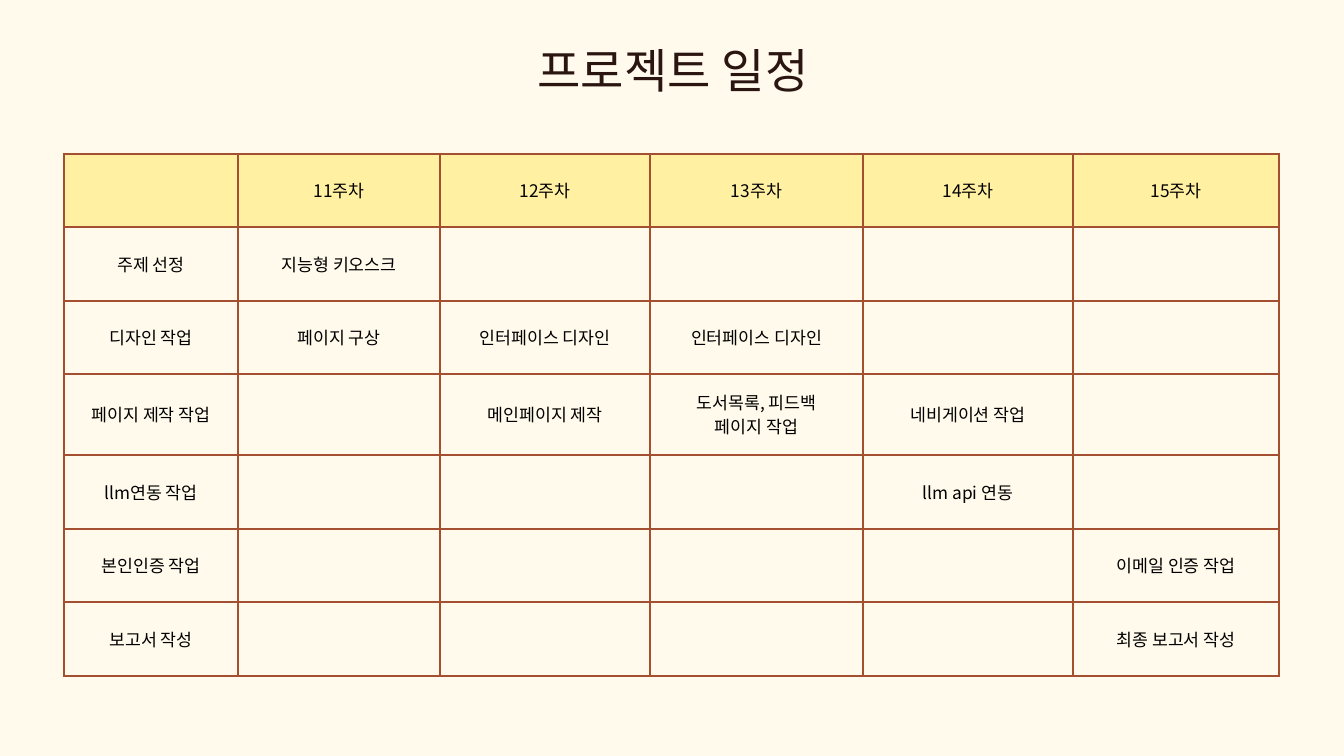
"""Build the project schedule slide with its weekly task table."""
import dataclasses

import lxml.etree
import pptx
import pptx.dml.color
import pptx.enum.text
import pptx.oxml.ns
import pptx.util

EMU_PER_PX = 914400 / 67.2
SLIDE_SIZE = (1344, 756)
TITLE_BOX = (510, 9, 326, 112)
TABLE_ORIGIN = (64, 154)
COLUMN_WIDTHS = (174, 202, 210, 213, 210, 206)
ROW_HEIGHTS = (73, 74, 73, 81, 74, 73, 74)
TITLE_INSET = 4
CELL_INSET = 14

FIRST_WEEK = 11
TASKS = (
    ("주제 선정", {11: "지능형 키오스크"}),
    ("디자인 작업", {11: "페이지 구상", 12: "인터페이스 디자인", 13: "인터페이스 디자인"}),
    ("페이지 제작 작업", {12: "메인페이지 제작", 13: "도서목록, 피드백\n페이지 작업", 14: "네비게이션 작업"}),
    ("llm연동 작업", {14: "llm api 연동"}),
    ("본인인증 작업", {15: "이메일 인증 작업"}),
    ("보고서 작성", {15: "최종 보고서 작성"}),
)
ACCENT_TEXTS = {"메인페이지 제작", "도서목록, 피드백", "llm연동 작업", "llm api 연동"}


@dataclasses.dataclass(frozen=True)
class Theme:
    """Colours, fonts and type sizes of the slide."""
    background: str = "FFFAEB"
    header: str = "FFF0A2"
    border: str = "A44F30"
    title: str = "2B1511"
    text: str = "000000"
    font: str = "Calibri"
    accent_font: str = "Noto Sans CJK KR"
    title_size: float = 50.5
    title_leading: float = 70.6
    cell_size: float = 18.5
    cell_leading: float = 25.9
    border_width: float = 3


THEME = Theme()


def px(length):
    """Turn a length in px into EMU."""
    return pptx.util.Emu(round(length * EMU_PER_PX))


def rgb(value):
    """Turn a hexadecimal string into a colour."""
    return pptx.dml.color.RGBColor.from_string(value)


def format_paragraph(paragraph, font_name, size, leading, color):
    """Centre a paragraph and format its runs."""
    paragraph.alignment = pptx.enum.text.PP_ALIGN.CENTER
    paragraph.line_spacing = pptx.util.Pt(leading)
    paragraph.space_before = pptx.util.Pt(0)
    for run in paragraph.runs:
        run.font.name = font_name
        run.font.size = pptx.util.Pt(size)
        run.font.color.rgb = rgb(color)


def set_margins(target, inset):
    """Give a text frame or cell the same inset on all sides."""
    target.margin_left = target.margin_right = px(inset)
    target.margin_top = target.margin_bottom = px(inset)
    target.vertical_anchor = pptx.enum.text.MSO_ANCHOR.MIDDLE


def place_title(slide, text):
    """Fill, move and format the title placeholder."""
    shape = slide.shapes.title
    shape.left, shape.top, shape.width, shape.height = map(px, TITLE_BOX)
    frame = shape.text_frame
    frame.text = text
    frame.word_wrap = True
    frame.auto_size = pptx.enum.text.MSO_AUTO_SIZE.NONE
    set_margins(frame, TITLE_INSET)
    format_paragraph(frame.paragraphs[0], THEME.font, THEME.title_size,
                     THEME.title_leading, THEME.title)


def add_borders(cell):
    """Draw the four borders of a cell."""
    properties = cell._tc.get_or_add_tcPr()
    qualified = pptx.oxml.ns.qn
    for index, side in enumerate(("lnL", "lnR", "lnT", "lnB")):
        line = lxml.etree.Element(qualified(f"a:{side}"))
        line.set("w", str(pptx.util.Pt(THEME.border_width)))
        fill = lxml.etree.SubElement(line, qualified("a:solidFill"))
        lxml.etree.SubElement(fill, qualified("a:srgbClr")).set("val", THEME.border)
        properties.insert(index, line)


def fill_cell(cell, text, is_header):
    """Set the text, fill and borders of a cell."""
    cell.text_frame.text = text
    set_margins(cell, CELL_INSET)
    for paragraph in cell.text_frame.paragraphs:
        accented = is_header or paragraph.text in ACCENT_TEXTS
        font_name = THEME.accent_font if accented else THEME.font
        format_paragraph(paragraph, font_name, THEME.cell_size,
                         THEME.cell_leading, THEME.text)
    if is_header:
        cell.fill.solid()
        cell.fill.fore_color.rgb = rgb(THEME.header)
    else:
        cell.fill.background()
    add_borders(cell)


def schedule_rows():
    """Return the header and task rows as lists of cell texts."""
    weeks = range(FIRST_WEEK, FIRST_WEEK + len(COLUMN_WIDTHS) - 1)
    header = ["", *(f"{week}주차" for week in weeks)]
    return [header, *([task, *(plan.get(week, "") for week in weeks)]
                      for task, plan in TASKS)]


def add_schedule(slide):
    """Add the schedule table."""
    left, top = TABLE_ORIGIN
    frame = slide.shapes.add_table(
        len(ROW_HEIGHTS), len(COLUMN_WIDTHS), px(left), px(top),
        px(sum(COLUMN_WIDTHS)), px(sum(ROW_HEIGHTS)))
    table = frame.table
    table.horz_banding = False
    for column, width in zip(table.columns, COLUMN_WIDTHS):
        column.width = px(width)
    for row, height in zip(table.rows, ROW_HEIGHTS):
        row.height = px(height)
    for row_index, texts in enumerate(schedule_rows()):
        for column_index, text in enumerate(texts):
            fill_cell(table.cell(row_index, column_index), text, row_index == 0)


def main():
    """Build and save the presentation."""
    presentation = pptx.Presentation()
    presentation.slide_width, presentation.slide_height = map(px, SLIDE_SIZE)
    slide = presentation.slides.add_slide(presentation.slide_layouts[5])
    slide.background.fill.solid()
    slide.background.fill.fore_color.rgb = rgb(THEME.background)
    place_title(slide, "프로젝트 일정")
    add_schedule(slide)
    presentation.save("out.pptx")


if __name__ == "__main__":
    main()
